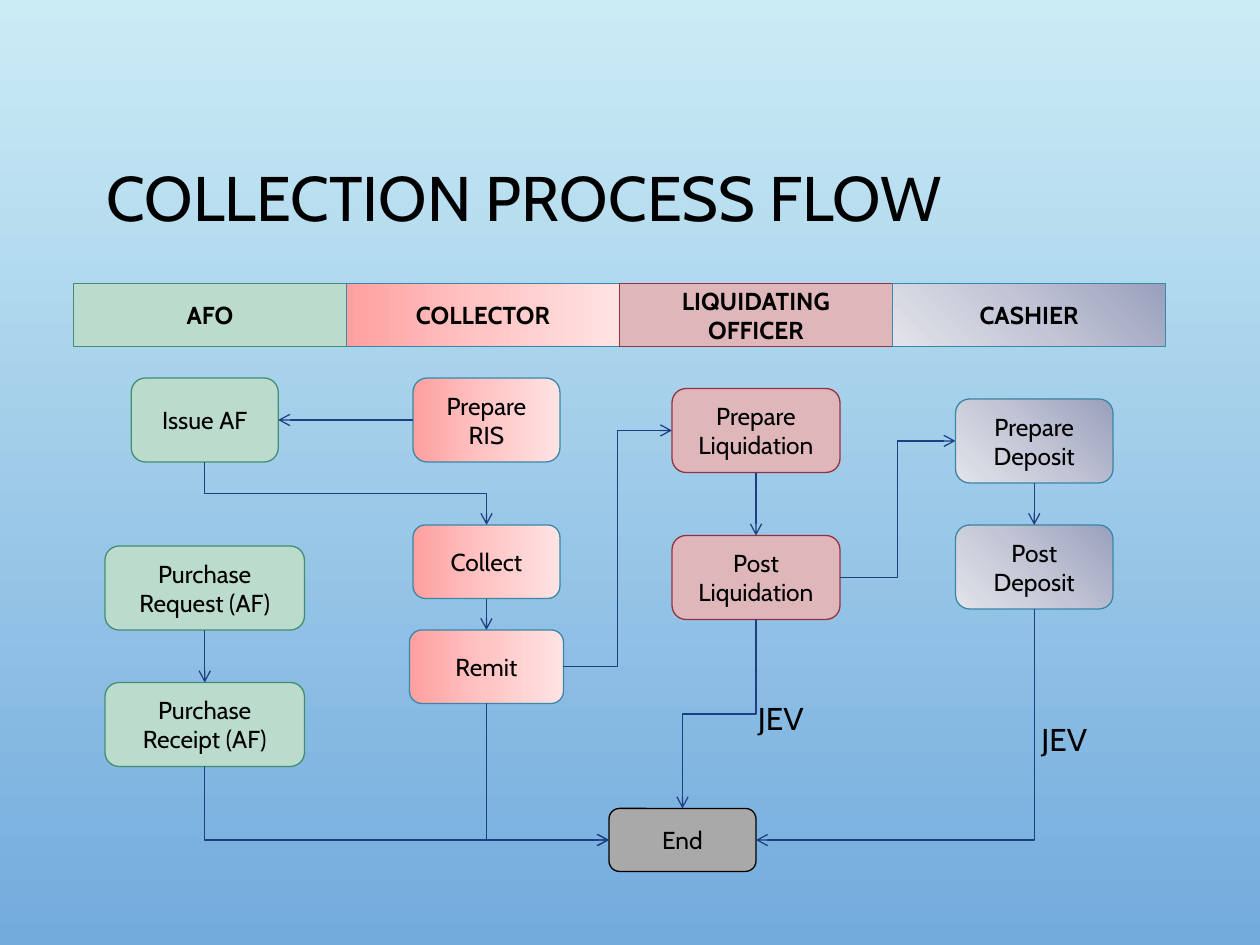
import collections
import copy

import lxml.etree
import pptx
import pptx.dml.color
import pptx.enum.shapes
import pptx.enum.text
import pptx.oxml.ns
import pptx.util

Box = collections.namedtuple("Box", "left top width height")
Lane = collections.namedtuple("Lane", "title fill line axis steps")
Step = collections.namedtuple("Step", "lines row columns rows")

RGBColor = pptx.dml.color.RGBColor
SKY_TOP = RGBColor(0xCB, 0xEC, 0xF5)
SKY_BOTTOM = RGBColor(0x73, 0xAB, 0xDD)
BLACK = RGBColor(0, 0, 0)
GRAY = RGBColor(0xA9, 0xA9, 0xA9)
GREEN = RGBColor(0xBB, 0xDB, 0xCD)
DARK_GREEN = RGBColor(0x42, 0x8E, 0x73)
ROSE = RGBColor(0xDF, 0xB7, 0xBB)
DARK_RED = RGBColor(0x95, 0x32, 0x41)
TEAL = RGBColor(0x3A, 0x87, 0xA7)
NAVY = RGBColor(0x1F, 0x3F, 0x83)
RED_FADE = (RGBColor(0xFF, 0xA0, 0xA0), RGBColor(0xFF, 0xC5, 0xC5), RGBColor(0xFF, 0xE3, 0xE3))
SLATE_FADE = (RGBColor(0x9A, 0xA0, 0xBD), RGBColor(0xC2, 0xC5, 0xD5), RGBColor(0xE2, 0xE3, 0xEA))

FONT = "Cabin"
CELL = pptx.util.Inches(1) / 12
TOP, LEFT, BOTTOM, RIGHT = range(4)
SHAPES = pptx.enum.shapes.MSO_SHAPE
CONNECTORS = pptx.enum.shapes.MSO_CONNECTOR

LANES = [
    Lane("AFO", (GREEN,), DARK_GREEN, 12.5, {
        "issue": Step(["Issue AF"], 9, 14, 8),
        "request": Step(["Purchase Request (AF)"], 25, 19, 8),
        "receipt": Step(["Purchase Receipt (AF)"], 38, 19, 8),
    }),
    Lane("COLLECTOR", RED_FADE, TEAL, 13.33, {
        "ris": Step(["Prepare RIS"], 9, 14, 8),
        "collect": Step(["Collect"], 23, 14, 7),
        "remit": Step(["Remit"], 33, 14.67, 7),
    }),
    Lane("LIQUIDATING OFFICER", (ROSE,), DARK_RED, 13, {
        "prepare liquidation": Step(["Prepare", "Liquidation"], 10, 16, 8),
        "post liquidation": Step(["Post", "Liquidation"], 24, 16, 8),
    }),
    Lane("CASHIER", SLATE_FADE, TEAL, 13.5, {
        "prepare deposit": Step(["Prepare Deposit"], 11, 15, 8),
        "post deposit": Step(["Post", "Deposit"], 23, 15, 8),
    }),
]
FADE_ANGLES = {RED_FADE: 0, SLATE_FADE: 225}

STRAIGHT_ARROWS = [
    ("ris", LEFT, "issue", RIGHT),
    ("request", BOTTOM, "receipt", TOP),
    ("collect", BOTTOM, "remit", TOP),
    ("prepare liquidation", BOTTOM, "post liquidation", TOP),
    ("prepare deposit", BOTTOM, "post deposit", TOP),
]
ELBOW_ARROWS = [
    ("issue", BOTTOM, "collect", TOP),
    ("remit", RIGHT, "prepare liquidation", LEFT),
    ("remit", BOTTOM, "end", LEFT),
    ("receipt", BOTTOM, "end", LEFT),
    ("post liquidation", BOTTOM, "end", TOP),
    ("post liquidation", RIGHT, "prepare deposit", LEFT),
    ("post deposit", BOTTOM, "end", RIGHT),
]


def grid(box):
    return [round(length * CELL) for length in box]


def paint(fill, colors, angle=0):
    if len(colors) == 1:
        fill.solid()
        fill.fore_color.rgb = colors[0]
        return
    fill.gradient()
    fill.gradient_angle = angle
    first = fill.gradient_stops[0]._gs
    for extra in range(len(colors) - 2):
        first.addnext(copy.deepcopy(first))
    for index, stop in enumerate(fill.gradient_stops):
        stop.position = index / (len(colors) - 1)
        stop.color.rgb = colors[index]


def write(frame, lines, size, bold=False, align=pptx.enum.text.PP_ALIGN.CENTER):
    for index, line in enumerate(lines):
        para = frame.add_paragraph() if index else frame.paragraphs[0]
        para.alignment = align
        span = para.add_run()
        span.text = line
        span.font.name = FONT
        span.font.size = pptx.util.Pt(size)
        span.font.bold = bold
        span.font.color.rgb = BLACK


def draw_block(page, box, kind, lines, colors, line, bold=False):
    block = page.shapes.add_shape(kind, *grid(box))
    block.shadow.inherit = False
    paint(block.fill, colors, FADE_ANGLES.get(colors, 0))
    block.line.color.rgb = line
    block.line.width = pptx.util.Pt(0.75)
    block.text_frame.word_wrap = True
    block.text_frame.vertical_anchor = pptx.enum.text.MSO_ANCHOR.MIDDLE
    write(block.text_frame, lines, 14, bold)
    return block


def draw_label(page, box, text, size, wrap=False):
    label = page.shapes.add_textbox(*grid(box))
    label.text_frame.word_wrap = wrap
    label.text_frame.vertical_anchor = pptx.enum.text.MSO_ANCHOR.MIDDLE
    write(label.text_frame, [text], size, align=pptx.enum.text.PP_ALIGN.LEFT)


def draw_lane(page, box, lane):
    heading = Box(box.left, box.top, box.width, 6)
    draw_block(page, heading, SHAPES.RECTANGLE, [lane.title], lane.fill, lane.line, True)
    blocks = {}
    for name, step in lane.steps.items():
        place = Box(box.left + lane.axis - step.columns / 2, box.top + step.row,
                    step.columns, step.rows)
        blocks[name] = draw_block(page, place, SHAPES.FLOWCHART_ALTERNATE_PROCESS,
                                  step.lines, lane.fill, lane.line)
    return blocks


def side_point(block, side):
    across = {LEFT: 0, RIGHT: 1}.get(side, 0.5)
    down = {TOP: 0, BOTTOM: 1}.get(side, 0.5)
    return round(block.left + across * block.width), round(block.top + down * block.height)


def draw_arrow(page, kind, start, start_side, end, end_side):
    begin, finish = side_point(start, start_side), side_point(end, end_side)
    arrow = page.shapes.add_connector(kind, *begin, *finish)
    arrow.begin_connect(start, start_side)
    arrow.end_connect(end, end_side)
    arrow.line.color.rgb = NAVY
    arrow.line.width = pptx.util.Pt(0.75)
    qn = pptx.oxml.ns.qn
    lxml.etree.SubElement(arrow.line._get_or_add_ln(), qn("a:tailEnd"), type="arrow")
    lxml.etree.SubElement(arrow.element.spPr, qn("a:effectLst"))
    if kind == CONNECTORS.ELBOW and start_side == BOTTOM:
        turn_down(arrow, begin, finish, end_side)


def turn_down(arrow, begin, finish, end_side):
    qn = pptx.oxml.ns.qn
    across, down = finish[0] - begin[0], finish[1] - begin[1]
    arrow.width, arrow.height = down, abs(across)
    arrow.left = (begin[0] + finish[0] - down) // 2
    arrow.top = (begin[1] + finish[1] - abs(across)) // 2
    frame = arrow.element.spPr.find(qn("a:xfrm"))
    frame.attrib.pop("flipV", None)
    frame.set("flipH", "1" if across > 0 else "0")
    frame.set("rot", str((270 if across > 0 else 90) * 60000))
    if end_side != TOP:
        arrow.element.spPr.find(qn("a:prstGeom")).set("prst", "bentConnector2")


def draw_flow(page, box):
    column = box.width / len(LANES)
    blocks = {}
    for index, lane in enumerate(LANES):
        area = Box(box.left + index * column, box.top, column, box.height)
        blocks.update(draw_lane(page, area, lane))
    finish = Box(box.left + 51, box.top + 50, 14, 6)
    blocks["end"] = draw_block(page, finish, SHAPES.FLOWCHART_ALTERNATE_PROCESS,
                               ["End"], (GRAY,), BLACK)
    for kind, arrows in ((CONNECTORS.STRAIGHT, STRAIGHT_ARROWS), (CONNECTORS.ELBOW, ELBOW_ARROWS)):
        for start, start_side, end, end_side in arrows:
            draw_arrow(page, kind, blocks[start], start_side, blocks[end], end_side)
    for left, top in ((64, 39), (91, 41)):
        draw_label(page, Box(box.left + left, box.top + top, 6.8, 4.8), "JEV", 18)


def main():
    deck = pptx.Presentation()
    deck.slide_width = pptx.util.Inches(10)
    deck.slide_height = pptx.util.Inches(7.5)
    page = deck.slides.add_slide(deck.slide_layouts[6])
    paint(page.background.fill, (SKY_TOP, SKY_BOTTOM), 270)
    draw_label(page, Box(9, 8.2, 102, 21), "COLLECTION PROCESS FLOW", 36, True)
    draw_flow(page, Box(7, 27, 104, 56))
    deck.save("out.pptx")


if __name__ == "__main__":
    main()
